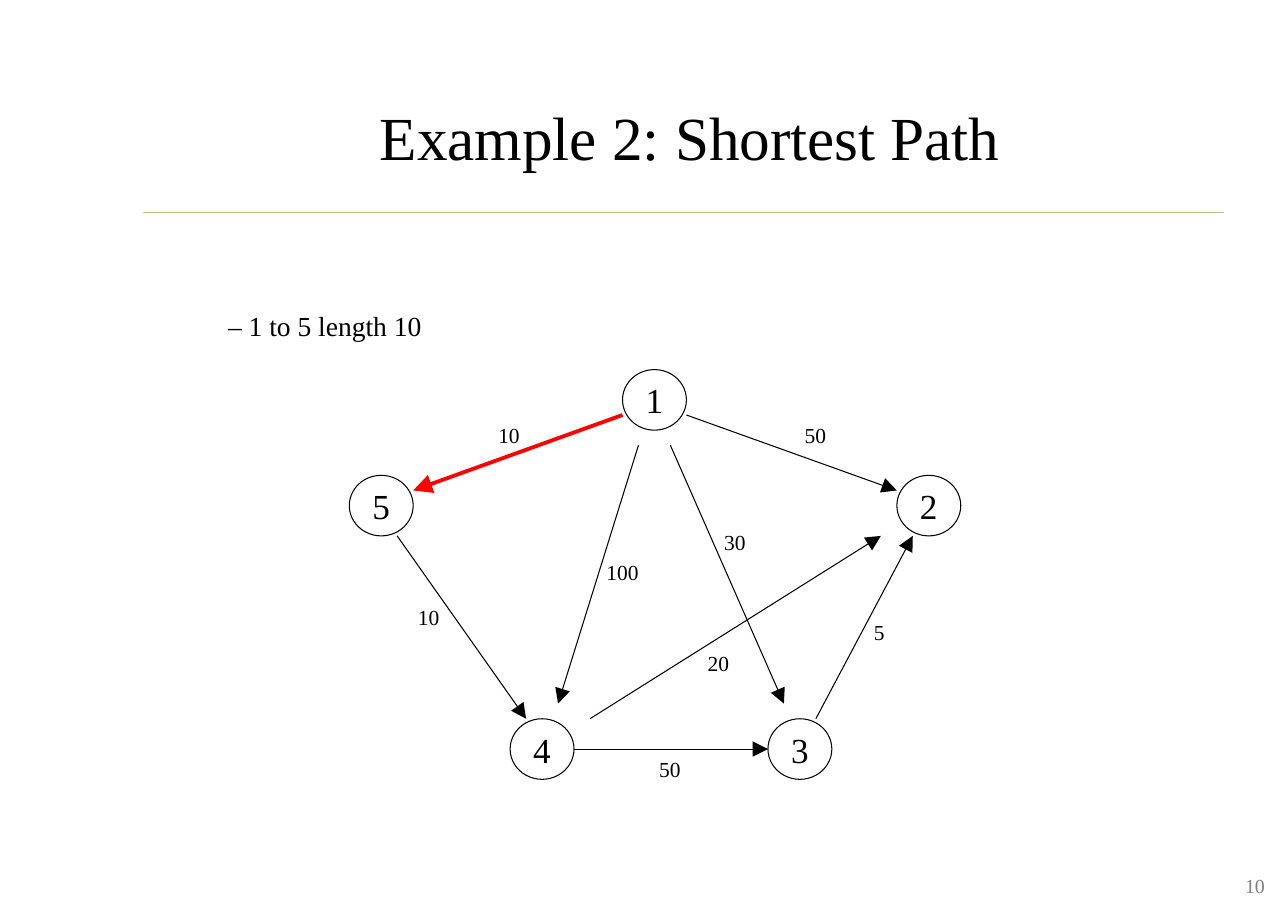
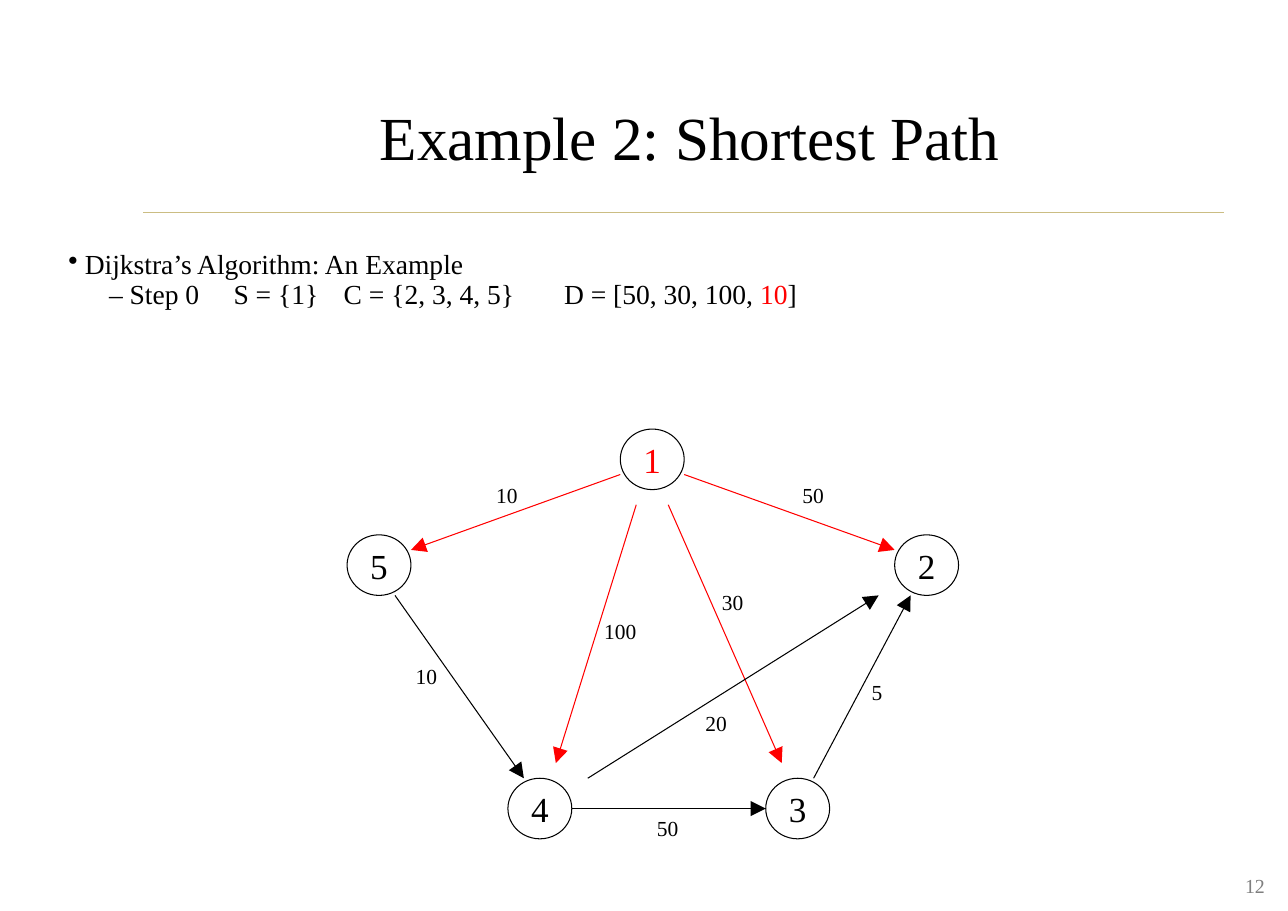
from lxml import etree
from pptx import Presentation
from pptx.dml.color import RGBColor
from pptx.enum.shapes import MSO_CONNECTOR, MSO_SHAPE
from pptx.enum.text import MSO_ANCHOR, PP_ALIGN
from pptx.oxml.ns import qn
from pptx.util import Inches, Pt

STRAIGHT = MSO_CONNECTOR.STRAIGHT
OVAL = MSO_SHAPE.OVAL
TOP, MIDDLE = MSO_ANCHOR.TOP, MSO_ANCHOR.MIDDLE
LEFT, CENTER, RIGHT = PP_ALIGN.LEFT, PP_ALIGN.CENTER, PP_ALIGN.RIGHT

BLACK = RGBColor(0x00, 0x00, 0x00)
WHITE = RGBColor(0xFF, 0xFF, 0xFF)
RED = RGBColor(0xFF, 0x00, 0x00)
GRAY = RGBColor(0x7F, 0x7F, 0x7F)
SAND = RGBColor(0xCB, 0xBD, 0x83)

FONT = "Times New Roman"
THIN, THICK = 0.68, 2.5
NODE_WIDTH, NODE_HEIGHT = 0.58, 0.55

# Node centres on the slide
NODES = {
    "1": (5.94, 3.63),
    "2": (8.43, 4.59),
    "3": (7.26, 6.8),
    "4": (4.92, 6.8),
    "5": (3.46, 4.59),
}
# Start, end, start offset in half nodes (the end mirrors it), weight, label centre
EDGES = [
    ("1", "3", (0.5, 1.5), "30", (6.67, 4.92)),
    ("1", "5", (-1, 0.5), "10", (4.62, 3.95)),
    ("1", "2", (1, 0.5), "50", (7.4, 3.95)),
    ("1", "4", (-0.5, 1.5), "100", (5.65, 5.19)),
    ("5", "4", (0.5, 1), "10", (3.89, 5.6)),
    ("4", "3", (1, 0), "50", (6.08, 6.98)),
    ("3", "2", (0.5, -1), "5", (7.98, 5.74)),
    ("4", "2", (1.5, -1), "20", (6.52, 6.02)),
]


class Deck:
    def __init__(self):
        self.presentation = Presentation()
        self.presentation.slide_width = Inches(11.69)
        self.presentation.slide_height = Inches(8.27)
        self.slide = None

    def add_slide(self, title, number):
        """Start a slide with the shared rule, title and page number."""
        layout = self.presentation.slide_layouts[6]
        self.slide = self.presentation.slides.add_slide(layout)
        self.line((1.3, 1.93), (11.11, 1.93), SAND, 0.23)
        self.text((1.22, 0.79, 10.08, 0.75), [title], 40, align=CENTER,
                  spacing=1.08, inset_top=0.06)
        self.text((10.98, 7.92, 0.5, 0.24), [number], 13, GRAY, RIGHT, MIDDLE)

    def line(self, start, end, color, width):
        points = [Inches(value) for value in (*start, *end)]
        connector = self.slide.shapes.add_connector(STRAIGHT, *points)
        connector.line.color.rgb = color
        connector.line.width = Pt(width)
        etree.SubElement(connector._element.spPr, qn("a:effectLst"))
        return connector

    def arrow(self, start, end, color, width):
        connector = self.line(start, end, color, width)
        outline = connector._element.spPr.find(qn("a:ln"))
        etree.SubElement(outline, qn("a:tailEnd"), type="triangle", w="lg", len="lg")

    def fill_text(self, shape, paragraphs, size, color=BLACK, align=LEFT, anchor=TOP,
                  spacing=1.0, inset_top=0):
        """Fill a shape; a paragraph is a string or a list of (text, color) runs."""
        frame = shape.text_frame
        format_values = {
            "word_wrap": True, "vertical_anchor": anchor, "margin_left": 0,
            "margin_right": 0, "margin_bottom": 0, "margin_top": Inches(inset_top),
        }
        for name, value in format_values.items():
            setattr(frame, name, value)
        for index, content in enumerate(paragraphs):
            paragraph = frame.add_paragraph() if index else frame.paragraphs[0]
            paragraph.alignment = align
            paragraph.line_spacing = spacing
            runs = [(content, color)] if isinstance(content, str) else content
            for text, run_color in runs:
                run = paragraph.add_run()
                run.text = text
                run.font.name = FONT
                run.font.size = Pt(size)
                run.font.color.rgb = run_color
        return frame.paragraphs

    def text(self, box, paragraphs, size, *style, **options):
        shape = self.slide.shapes.add_textbox(*map(Inches, box))
        return self.fill_text(shape, paragraphs, size, *style, **options)

    def bullet(self, paragraph, character, hang):
        properties = paragraph._p.get_or_add_pPr()
        properties.set("marL", str(Inches(hang)))
        properties.set("indent", str(-Inches(hang)))
        etree.SubElement(properties, qn("a:buChar"), char=character)

    def columns(self, paragraph, indent, stops):
        """Indent the first line and set left tab stops."""
        properties = paragraph._p.get_or_add_pPr()
        properties.set("marL", "0")
        properties.set("indent", str(Inches(indent)))
        tabs = etree.SubElement(properties, qn("a:tabLst"))
        for stop in stops:
            etree.SubElement(tabs, qn("a:tab"), pos=str(Inches(stop)), algn="l")

    def node(self, name, center, color):
        x, y = center
        box = (x - NODE_WIDTH / 2, y - NODE_HEIGHT / 2, NODE_WIDTH, NODE_HEIGHT)
        shape = self.slide.shapes.add_shape(OVAL, *map(Inches, box))
        shape.shadow.inherit = False
        shape.fill.solid()
        shape.fill.fore_color.rgb = WHITE
        shape.line.color.rgb = BLACK
        shape.line.width = Pt(THIN)
        self.fill_text(shape, [name], 23, color, CENTER, MIDDLE)

    def graph(self, offset, red_edges, red_width, red_nodes=()):
        left, top = offset
        centers = {name: (x + left, y + top) for name, (x, y) in NODES.items()}
        for name, center in centers.items():
            self.node(name, center, RED if name in red_nodes else BLACK)
        for start, end, (across, down), weight, (label_x, label_y) in EDGES:
            dx, dy = across * NODE_WIDTH / 2, down * NODE_HEIGHT / 2
            start_x, start_y = centers[start]
            end_x, end_y = centers[end]
            is_red = (start, end) in red_edges
            self.arrow((start_x + dx, start_y + dy), (end_x - dx, end_y - dy),
                       RED if is_red else BLACK, red_width if is_red else THIN)
            self.text((label_x + left - 0.25, label_y + top - 0.12, 0.5, 0.24),
                      [weight], 14, align=CENTER, anchor=MIDDLE)


def main():
    deck = Deck()
    title = "Example 2: Shortest Path"

    deck.add_slide(title, "10")
    deck.text((2.07, 2.8, 2.74, 0.41), ["– 1 to 5 length 10"], 18,
              spacing=0.92, inset_top=0.03)
    deck.graph((0, 0), [("1", "5")], THICK)

    deck.add_slide(title, "12")
    step = [("– Step 0\tS = {1}\tC = {2, 3, 4, 5}\tD = [50, 30, 100, ", BLACK),
            ("10", RED), ("]", BLACK)]
    heading, step_line = deck.text(
        (0.62, 2.21, 10.97, 0.67), ["Dijkstra’s Algorithm: An Example", step], 18,
        spacing=0.92, inset_top=0.06)
    deck.bullet(heading, "•", 0.15)
    deck.columns(step_line, 0.37, (1.5, 2.83, 4.63))
    deck.graph((-0.02, 0.54), [("1", end) for end in "2345"], THIN, "1")

    deck.presentation.save("out.pptx")


if __name__ == "__main__":
    main()
